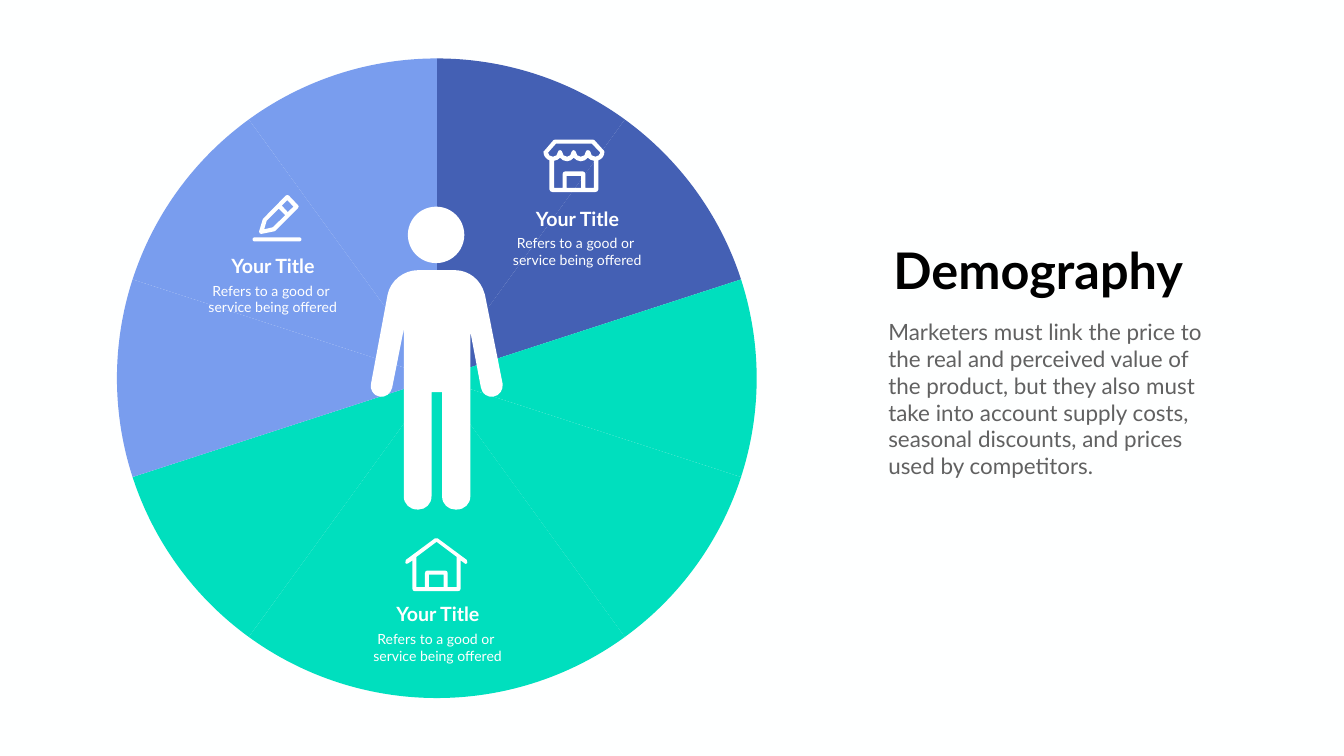
import itertools
import math

from lxml import etree
from pptx import Presentation
from pptx.dml.color import RGBColor
from pptx.enum import shapes, text
from pptx.oxml import ns
from pptx.util import Pt

PX = 9144  # 100 px to the inch
FONT = "Lato"
COLORS = {"back": "FEFFFF", "navy": "4460B4", "teal": "00DFBE", "sky": "799DEE",
          "white": "FFFFFF", "black": "000000", "gray": "616161"}
SLICES = ["navy"] * 2 + ["teal"] * 5 + ["sky"] * 3  # clockwise from the top

# Outlines: two numbers are a line to a point, six are a Bezier curve.
PERSON = [
    [(264, 225), (229, 49), (229, 48, 229, 47, 228, 46), (221, 20, 198, 0, 169, 0),
     (97, 0), (67, 0, 42, 21, 36, 48), (3, 225), (0, 237, 8, 249, 20, 251),
     (32, 253, 42, 245, 45, 233), (68, 117), (68, 449), (68, 464, 80, 475, 95, 475),
     (97, 475), (111, 475, 123, 464, 123, 449), (123, 242), (144, 242), (144, 449),
     (144, 464, 156, 475, 170, 475), (173, 475), (188, 475, 200, 464, 200, 449),
     (200, 122), (221, 233), (223, 245, 234, 253, 246, 251),
     (258, 249, 266, 237, 264, 225)],
]
STORE = [
    [(121, 24), (120, 22), (101, 1), (100, 0, 99, 0, 98, 0), (23, 0),
     (22, 0, 21, 0, 20, 1), (2, 22), (0, 24), (0, 32, 5, 39, 12, 41), (12, 99),
     (12, 102, 15, 104, 18, 104), (103, 104), (106, 104, 109, 102, 109, 99),
     (109, 41), (116, 39, 121, 32, 121, 24)],
    [(46, 96), (46, 72), (75, 72), (75, 96)],
    [(83, 96), (83, 68), (83, 66, 81, 63, 78, 63), (43, 63), (40, 63, 38, 66, 38, 68),
     (38, 96), (21, 96), (21, 42), (26, 42, 30, 39, 33, 36), (36, 40, 41, 43, 47, 43),
     (52, 43, 57, 40, 60, 36), (63, 40, 69, 43, 74, 43), (80, 43, 85, 40, 88, 36),
     (91, 39, 96, 42, 100, 42), (100, 96)],
    [(103, 34), (97, 34, 93, 30, 93, 24), (93, 23, 91, 21, 88, 21),
     (86, 21, 84, 23, 84, 24), (84, 30, 80, 34, 74, 34), (69, 34, 64, 30, 64, 24),
     (64, 23, 62, 21, 60, 21), (58, 21, 56, 23, 56, 24), (56, 30, 51, 34, 47, 34),
     (41, 34, 37, 30, 37, 24), (37, 23, 35, 21, 33, 21), (30, 21, 29, 23, 29, 24),
     (29, 30, 24, 34, 19, 34), (13, 34, 9, 30, 9, 26), (25, 8), (96, 8), (113, 26),
     (112, 30, 108, 34, 103, 34)],
]
PENCIL = [
    [(4, 77), (5, 77), (30, 72), (31, 72, 32, 71, 32, 71), (77, 26),
     (79, 24, 79, 21, 77, 20), (59, 1), (59, 0, 58, 0, 56, 0), (55, 0, 54, 0, 53, 1),
     (8, 47), (7, 48, 7, 49, 7, 49), (0, 72), (0, 73, 0, 75, 1, 76),
     (2, 77, 3, 77, 4, 77)],
    [(56, 10), (68, 23), (57, 34), (45, 21)],
    [(15, 51), (39, 27), (52, 40), (27, 64), (10, 68)],
]
HOUSE = [
    [(123, 44), (65, 1), (64, 0, 62, 0, 60, 1), (2, 44), (0, 46, 0, 48, 1, 50),
     (2, 52, 4, 52, 6, 51), (15, 45), (15, 101), (15, 104, 17, 106, 20, 106),
     (105, 106), (108, 106, 111, 104, 111, 101), (111, 45), (119, 51),
     (120, 51, 120, 52, 121, 52), (122, 52, 123, 51, 124, 50),
     (125, 48, 125, 46, 123, 44)],
    [(77, 98), (48, 98), (48, 73), (77, 73)],
    [(103, 98), (85, 98), (85, 70), (85, 67, 83, 65, 80, 65), (45, 65),
     (42, 65, 40, 67, 40, 70), (40, 98), (23, 98), (23, 38), (63, 8), (103, 38)],
]


def rgb(name):
    return RGBColor.from_string(COLORS[name])


def box(*lengths):
    return [n * PX for n in lengths]


def paint(sp, color):
    sp.fill.solid()
    sp.fill.fore_color.rgb = rgb(color)
    sp.line.fill.background()
    sp.shadow.inherit = False


def draw_outline(s, x, y, contours, color):
    """Draw one filled shape; inner contours become holes."""
    def emu(a, b):
        return round((x + a) * PX), round((y + b) * PX)

    builder = s.shapes.build_freeform(*emu(*contours[0][0]), scale=1.0)
    for i, contour in enumerate(contours):
        if i:
            builder.move_to(*emu(*contour[0]))
        builder.add_line_segments([emu(*seg[-2:]) for seg in contour[1:]], close=True)
    sp = builder.convert_to_shape()
    paint(sp, color)

    # Bend the segments that have control points
    segments = itertools.chain.from_iterable(c[1:] for c in contours)
    lines = list(sp._element.iter(ns.qn("a:lnTo")))
    for line, seg in zip(lines, segments):
        if len(seg) == 6:
            line.tag = ns.qn("a:cubicBezTo")
            for i in (0, 1):
                cx, cy = emu(*seg[2 * i:2 * i + 2])
                pt = etree.Element(ns.qn("a:pt"), x=str(cx - sp.left), y=str(cy - sp.top))
                line.insert(i, pt)


def arc(radius, start, end):
    """Curve segment along a circle, angles in degrees clockwise from the top."""
    a, b = math.radians(start), math.radians(end)
    k = 4 / 3 * math.tan((b - a) / 4)
    return tuple(radius * v for v in (
        math.sin(a) + k * math.cos(a), k * math.sin(a) - math.cos(a),
        math.sin(b) - k * math.cos(b), -math.cos(b) - k * math.sin(b),
        math.sin(b), -math.cos(b)))


def write(p, words, size, color, bold=False, align=text.PP_ALIGN.CENTER):
    p.alignment = align
    p.space_before = Pt(0)
    r = p.add_run()
    r.text = words
    r.font.name, r.font.size, r.font.bold = FONT, Pt(size), bold
    r.font.color.rgb = rgb(color)


def draw_wheel(s, x, y, size):
    radius = size / 2
    step = 360 // len(SLICES)
    for k, color in enumerate(SLICES):
        start, end = k * step, (k + 1) * step
        # Stop at the far left and right, so that the box holds the curve
        stops = [start] + [d for d in (90, 270) if start < d < end] + [end]
        curves = [arc(radius, a, b) for a, b in itertools.pairwise(stops)]
        rim = arc(radius, start - step, start)[-2:]
        draw_outline(s, x + radius, y + radius, [[rim] + curves + [(0, 0)]], color)


def draw_person(s, x, y):
    draw_outline(s, x, y + 126, PERSON, "white")
    paint(s.shapes.add_shape(shapes.MSO_SHAPE.OVAL, *box(x + 76, y, 112, 112)), "white")


def draw_label(s, x, y):
    group = s.shapes.add_group_shape()
    parts = [((x, y + 56, 288, 77), ["Refers to a good or ", "service being offered"], 20, False),
             ((x + 48, y, 193, 57), ["Your Title"], 28, True)]
    for place, lines, size, bold in parts:
        tf = group.shapes.add_textbox(*box(*place)).text_frame
        tf.word_wrap = True
        for i, line in enumerate(lines):
            p = tf.add_paragraph() if i else tf.paragraphs[0]
            write(p, line, size, "white", bold)


def draw_copy(s, x, y):
    title, body = s.placeholders
    title.left, title.top, title.width, title.height = box(x + 4, y, 607, 131)
    body.left, body.top, body.width, body.height = box(x, y + 156, 682, 333)
    for sp in (title, body):
        sp.text_frame.auto_size = text.MSO_AUTO_SIZE.NONE
        sp.text_frame.vertical_anchor = text.MSO_ANCHOR.TOP
    title.text_frame.word_wrap = False
    body.text_frame.word_wrap = True
    write(title.text_frame.paragraphs[0], "Demography", 72, "black", True)
    p = body.text_frame.paragraphs[0]
    write(p, "Marketers must link the price to the real and perceived value of the product, "
          "but they also must take into account supply costs, seasonal discounts, "
          "and prices used by competitors.", 32, "gray", align=text.PP_ALIGN.LEFT)
    # No bullet and no hanging indent
    pPr = p._p.get_or_add_pPr()
    pPr.set("marL", "0")
    pPr.set("indent", "0")
    etree.SubElement(pPr, ns.qn("a:buNone"))


def main():
    prs = Presentation()
    prs.slide_width, prs.slide_height = box(2666, 1500)
    s = prs.slides.add_slide(prs.slide_layouts[1])
    s.background.fill.solid()
    s.background.fill.fore_color.rgb = rgb("back")

    draw_wheel(s, 232, 116, 1269)
    draw_person(s, 733, 410)

    # Icons
    for x, y, icon in [(1078, 277, STORE), (514, 387, PENCIL), (803, 1067, HOUSE)]:
        draw_outline(s, x, y, icon, "white")
    underline = s.shapes.add_shape(shapes.MSO_SHAPE.ROUNDED_RECTANGLE, *box(501, 471, 97, 8))
    underline.adjustments[0] = 0.5
    paint(underline, "white")

    # Captions
    for x, y in [(397, 499), (1001, 405), (724, 1190)]:
        draw_label(s, x, y)

    draw_copy(s, 1752, 470)
    prs.save("out.pptx")


if __name__ == "__main__":
    main()
